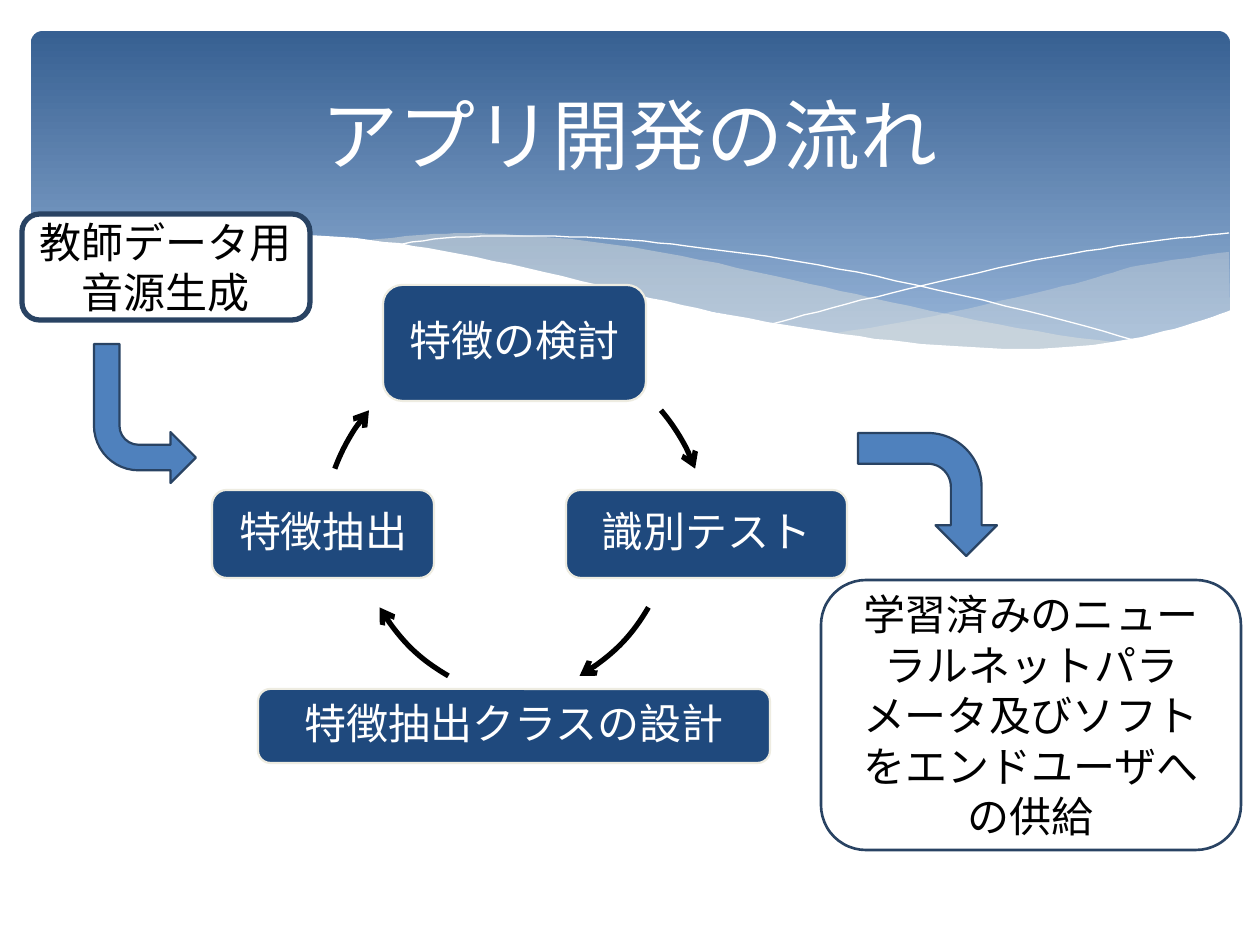
from dataclasses import dataclass

from lxml import etree
from pptx import Presentation
from pptx.dml.color import RGBColor
from pptx.enum.shapes import MSO_SHAPE
from pptx.enum.text import MSO_ANCHOR, PP_ALIGN
from pptx.oxml.ns import qn
from pptx.util import Pt

ROUND = MSO_SHAPE.ROUNDED_RECTANGLE
BENT = MSO_SHAPE.BENT_ARROW
ARC = MSO_SHAPE.ARC
CENTER = PP_ALIGN.CENTER
MIDDLE = MSO_ANCHOR.MIDDLE

WHITE = RGBColor(0xFF, 0xFF, 0xFF)
BLACK = RGBColor(0, 0, 0)
NAVY = RGBColor(0x1F, 0x49, 0x7D)
CREAM = RGBColor(0xEE, 0xEC, 0xE1)
OUTLINE = RGBColor(0x29, 0x43, 0x63)
BLUE = RGBColor(0x4F, 0x81, 0xBD)
BANNER_TOP = RGBColor(0x37, 0x60, 0x92)
BANNER_BOTTOM = RGBColor(0x95, 0xB3, 0xD7)

FONT = "Lato"
SCALE = 914400 / 126
CYCLE_SIZE = 384
STEPS = 6


@dataclass
class Wave:
    edges: list
    opacity: int = 100
    fill: RGBColor | None = None


@dataclass
class Box:
    x: int
    y: int
    w: int
    h: int
    text: str
    fill: RGBColor = NAVY
    line: RGBColor = CREAM
    weight: float = 1.25
    color: RGBColor = WHITE
    spacing: float = 0.9


@dataclass
class CycleArrow:
    x: int
    y: int
    start: float
    end: float


@dataclass
class BentArrow:
    x: int
    y: int
    w: int
    h: int
    rotation: int
    mirrored: bool = False


WAVES = [
    Wave([
        [(1229, 252), (1142, 265), (1085, 281), (1014, 298), (919, 319), (833, 334)],
        [(833, 334), (906, 343), (984, 349), (1052, 349), (1110, 344), (1169, 331), (1230, 311)],
    ], 29, CREAM),
    Wave([
        [(1125, 344), (1017, 328), (890, 302), (793, 280), (682, 256), (586, 241),
         (503, 234), (433, 234), (360, 241)],
        [(360, 241), (456, 256), (566, 280), (668, 302), (779, 325), (876, 340),
         (974, 349), (1056, 350), (1125, 344)],
    ], 40, CREAM),
    Wave([[(389, 246), (445, 238), (524, 236), (616, 239), (701, 248), (801, 262),
           (916, 285), (1047, 316), (1143, 343)]]),
    Wave([[(772, 324), (847, 304), (942, 281), (1053, 257), (1147, 242), (1229, 233)]]),
    Wave([
        [(1231, 310), (1184, 326), (1118, 341), (1037, 349), (937, 345), (842, 334),
         (730, 315), (634, 294), (527, 268), (428, 248), (341, 237), (243, 232),
         (166, 234), (96, 246), (50, 258), (29, 268)],
        [(29, 415), (1231, 415)],
    ], fill=WHITE),
]

CYCLE_BOXES = [
    Box(383, 285, 263, 116, "特徴の検討"),
    Box(566, 490, 281, 88, "識別テスト"),
    Box(258, 689, 512, 74, "特徴抽出クラスの設計"),
    Box(212, 490, 222, 88, "特徴抽出"),
]

CYCLE_ARROWS = [
    CycleArrow(323, 343, 319.5, 339.8),
    CycleArrow(291, 318, 30.5, 59.8),
    CycleArrow(353, 318, 120.2, 149.5),
    CycleArrow(323, 343, 200.2, 220.5),
]

END_BOXES = [
    Box(22, 214, 288, 106, "教師データ用\n音源生成", WHITE, OUTLINE, 3, BLACK, 1),
    Box(821, 580, 420, 270,
        "学習済みのニューラルネットパラメータ及びソフトをエンドユーザへの供給",
        WHITE, OUTLINE, 1.5, BLACK, 1),
]

BENT_ARROWS = [
    BentArrow(94, 344, 102, 139, 180, True),
    BentArrow(866, 425, 123, 139, 90),
]


def px(value: float) -> int:
    return round(value * SCALE)


def smooth(points: list) -> list:
    padded = [points[0], *points, points[-1]]
    curve = [points[0]]
    for a, b, c, d in zip(padded, padded[1:], padded[2:], padded[3:]):
        for step in range(1, STEPS + 1):
            t = step / STEPS
            curve.append(tuple(
                b[i] + t * (c[i] - a[i]) / 2
                + t ** 2 * (a[i] - 2.5 * b[i] + 2 * c[i] - d[i] / 2)
                + t ** 3 * (3 * (b[i] - c[i]) + d[i] - a[i]) / 2
                for i in (0, 1)))
    return curve


def add_preset(shapes, kind, x: int, y: int, w: int, h: int):
    sp = shapes.add_shape(kind, px(x), px(y), px(w), px(h))
    sp.shadow.inherit = False
    return sp


def set_style(sp, fill: RGBColor | None, line: RGBColor | None, weight: float = 0) -> None:
    if fill is None:
        sp.fill.background()
    else:
        sp.fill.solid()
        sp.fill.fore_color.rgb = fill
    if line is None:
        sp.line.fill.background()
    else:
        sp.line.color.rgb = line
        sp.line.width = Pt(weight)


def set_text(sp, text: str, size: int, color: RGBColor, spacing: float = 1) -> None:
    tf = sp.text_frame
    tf.text = text
    tf.word_wrap = True
    tf.vertical_anchor = MIDDLE
    for p in tf.paragraphs:
        p.alignment = CENTER
        p.line_spacing = spacing
        for r in p.runs:
            r.font.name = FONT
            r.font.size = Pt(size)
            r.font.color.rgb = color


def add_banner(shapes) -> None:
    sp = add_preset(shapes, ROUND, 31, 31, 1199, 340)
    sp.adjustments[0] = 0.034
    sp.line.fill.background()
    sp.fill.gradient()
    sp.fill.gradient_angle = 270
    stops = zip(sp.fill.gradient_stops, (BANNER_TOP, BANNER_BOTTOM), (0, 0.9))
    for stop, color, position in stops:
        stop.color.rgb = color
        stop.position = position


def add_wave(shapes, wave: Wave) -> None:
    points = [pt for edge in wave.edges for pt in smooth(edge)]
    builder = shapes.build_freeform(*points[0], scale=SCALE)
    builder.add_line_segments(points[1:], close=wave.fill is not None)
    sp = builder.convert_to_shape()
    sp.shadow.inherit = False
    set_style(sp, wave.fill, WHITE if wave.fill is None else None)
    if wave.opacity < 100:
        color = sp._element.spPr.find(qn("a:solidFill"))[0]
        etree.SubElement(color, qn("a:alpha"), val=str(wave.opacity * 1000))


def add_box(shapes, box: Box) -> None:
    sp = add_preset(shapes, ROUND, box.x, box.y, box.w, box.h)
    set_style(sp, box.fill, box.line, box.weight)
    set_text(sp, box.text, 24, box.color, box.spacing)


def add_cycle_arrow(shapes, arrow: CycleArrow) -> None:
    sp = add_preset(shapes, ARC, arrow.x, arrow.y, CYCLE_SIZE, CYCLE_SIZE)
    sp.adjustments[0] = arrow.start * 0.6
    sp.adjustments[1] = arrow.end * 0.6
    set_style(sp, None, BLACK, 3)
    etree.SubElement(sp.line._get_or_add_ln(), qn("a:tailEnd"), type="arrow")


def add_bent_arrow(shapes, arrow: BentArrow) -> None:
    sp = add_preset(shapes, BENT, arrow.x, arrow.y, arrow.w, arrow.h)
    set_style(sp, BLUE, OUTLINE, 1.25)
    sp.rotation = arrow.rotation
    if arrow.mirrored:
        sp._element.spPr.xfrm.set("flipH", "1")


prs = Presentation()
prs.slide_width, prs.slide_height = px(1260), px(945)
slide = prs.slides.add_slide(prs.slide_layouts[5])
shapes = slide.shapes

add_banner(shapes)
for wave in WAVES:
    add_wave(shapes, wave)

title = shapes.title
shapes._spTree.append(title._element)
title.left, title.top, title.width, title.height = px(63), px(47), px(1134), px(173)
set_text(title, "アプリ開発の流れ", 44, WHITE)

for box, arrow in zip(CYCLE_BOXES, CYCLE_ARROWS):
    add_box(shapes, box)
    add_cycle_arrow(shapes, arrow)
for box in END_BOXES:
    add_box(shapes, box)
for arrow in BENT_ARROWS:
    add_bent_arrow(shapes, arrow)

prs.save("out.pptx")
